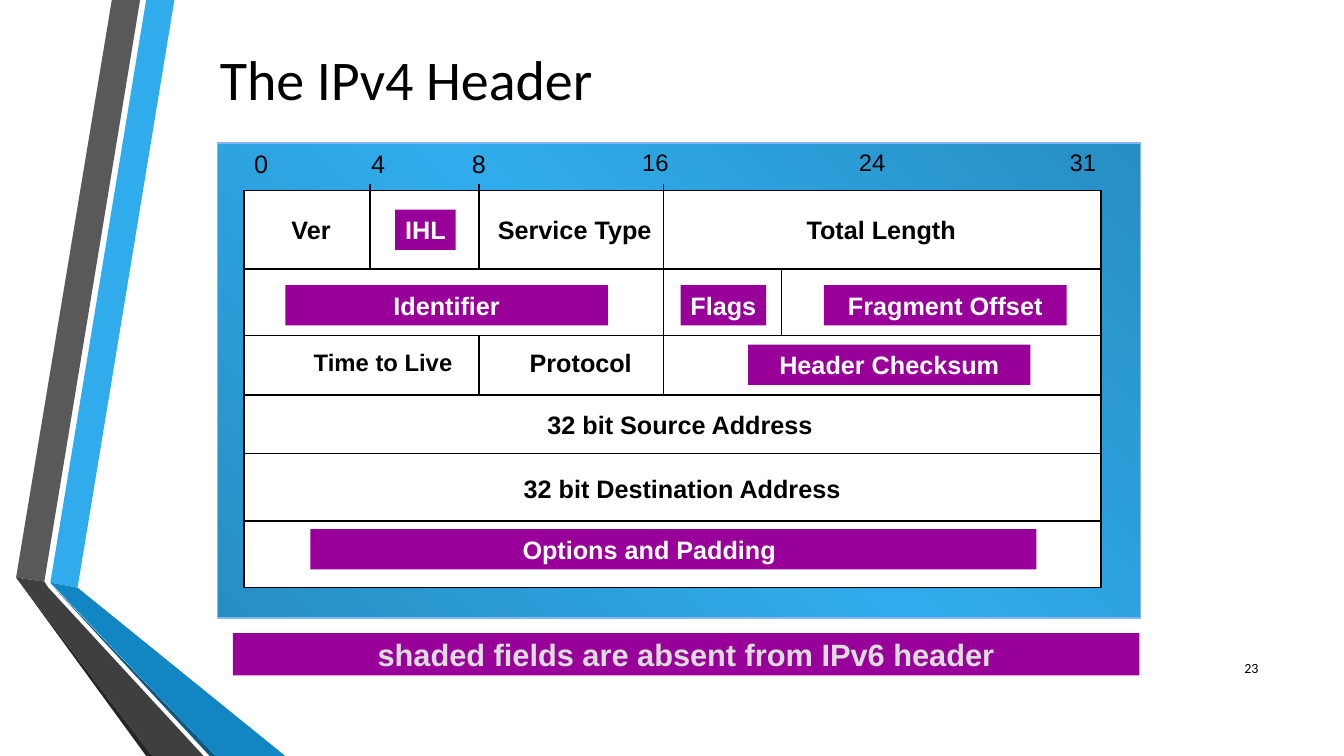
"""Build a slide that shows the layout of the IPv4 header."""
import copy

import pptx
import pptx.dml.color
import pptx.enum.shapes
import pptx.enum.text
import pptx.oxml.ns
import pptx.util
from lxml import etree

Inches = pptx.util.Inches
RGBColor = pptx.dml.color.RGBColor
Align = pptx.enum.text.PP_ALIGN
Anchor = pptx.enum.text.MSO_ANCHOR

BLACK = RGBColor(0x00, 0x00, 0x00)
WHITE = RGBColor(0xFF, 0xFF, 0xFF)
PURPLE = RGBColor(0x99, 0x00, 0x99)
SILVER = RGBColor(0xDD, 0xDD, 0xDD)
SKY = RGBColor(0x30, 0xAC, 0xEC)
OCEAN = RGBColor(0x27, 0x8E, 0xC3)
PANEL_EDGE = RGBColor(0x82, 0xB6, 0xF4)

RIBBONS = [
    (SKY, [(0.5, 5.78), (0.77, 5.83), (1.73, 0), (1.45, 0)]),
    (RGBColor(0x59, 0x59, 0x59), [(1.39, 0), (1.11, 0), (0.16, 5.73), (0.44, 5.77)]),
    (RGBColor(0x26, 0x26, 0x26), [(0.16, 5.73), (1.45, 7.5), (1.51, 7.5)]),
    (RGBColor(0x0B, 0x59, 0x82), [(0.5, 5.79), (2.08, 7.5), (2.14, 7.5)]),
    (RGBColor(0x11, 0x86, 0xC3), [(0.5, 5.78), (2.14, 7.5), (2.83, 7.5), (0.77, 5.83)]),
    (RGBColor(0x3F, 0x3F, 0x3F), [(0.16, 5.73), (1.51, 7.5), (2.02, 7.5), (0.48, 5.83), (0.44, 5.77)]),
]

LEFT, RIGHT, TOP, BOTTOM = 2.42, 10.92, 1.89, 5.83
ROW_EDGES = [2.67, 3.33, 3.92, 4.5, 5.17]
COLUMN_EDGES = [
    (3.67, 1.83, 2.67),
    (4.75, 1.83, 2.67),
    (6.58, 1.83, 3.92),
    (7.75, 2.67, 3.33),
    (4.75, 3.33, 3.92),
]
BIT_MARKS = [
    ("0", 2.42, 0.34, 18),
    ("4", 3.58, 0.34, 18),
    ("8", 4.58, 0.34, 18),
    ("16", 6.26, 0.48, 17),
    ("24", 8.41, 0.48, 17),
    ("31", 10.5, 0.48, 17),
]
KEPT_FIELDS = [
    ("Ver", 2.75, 2.08, 0.67, 18),
    ("Service Type", 4.83, 2.08, 1.74, 18),
    ("Total Length", 7.89, 2.08, 1.7, 18),
    ("Time to Live", 3, 3.4, 1.6, 17),
    ("Protocol", 5.15, 3.4, 1.22, 18),
    ("32 bit Source Address", 5.33, 4.01, 2.83, 18),
    ("32 bit Destination Address", 5.09, 4.65, 3.35, 18),
]
ABSENT_FIELDS = [
    ("IHL", 3.92, 2.08, 0.6),
    ("Identifier", 2.83, 2.83, 3.2),
    ("Flags", 6.75, 2.83, 0.85),
    ("Fragment Offset", 8.17, 2.83, 2.41),
    ("Header Checksum", 7.42, 3.42, 2.8),
]


class HeaderSlide:
    def __init__(self, deck):
        self.page = deck.slides.add_slide(deck.slide_layouts[5])
        self.shapes = self.page.shapes

    def title(self, text, left, top, width, height):
        box = self.shapes.title
        box.left, box.top, box.width, box.height = map(Inches, (left, top, width, height))
        self.set_text(box, text, 40, BLACK, font="Calibri", align=Align.LEFT, anchor=Anchor.MIDDLE, inset=0.1)

    def set_text(self, box, text, size, color, bold=False, font="Arial",
                 align=Align.CENTER, anchor=Anchor.TOP, inset=0.05):
        frame = box.text_frame
        frame.word_wrap = True
        frame.vertical_anchor = anchor
        frame.margin_left = frame.margin_right = Inches(inset)
        frame.text = text
        para = frame.paragraphs[0]
        para.alignment = align
        para.font.name = font
        para.font.size = pptx.util.Pt(size)
        para.font.bold = bold
        para.font.color.rgb = color
        return para

    def ribbon(self, color, points):
        corners = [(Inches(x), Inches(y)) for x, y in points]
        builder = self.shapes.build_freeform(*corners[0])
        builder.add_line_segments(corners[1:], close=True)
        shape = builder.convert_to_shape()
        shape.shadow.inherit = False
        shape.fill.solid()
        shape.fill.fore_color.rgb = color
        shape.line.fill.background()

    def block(self, left, top, width, height, fill, edge=None):
        shape = self.shapes.add_shape(
            pptx.enum.shapes.MSO_SHAPE.RECTANGLE, *map(Inches, (left, top, width, height)))
        shape.shadow.inherit = False
        shape.fill.solid()
        shape.fill.fore_color.rgb = fill
        if edge is None:
            shape.line.fill.background()
        else:
            shape.line.color.rgb = edge
            shape.line.width = pptx.util.Pt(1)
        return shape

    def panel(self, left, top, width, height):
        shape = self.block(left, top, width, height, SKY, PANEL_EDGE)
        shape.fill.gradient()
        shape.fill.gradient_angle = 45
        for stop in shape.fill.gradient_stops:
            stop.color.rgb = OCEAN
        stops = shape._element.spPr.xpath(".//a:gsLst")[0]
        stops.insert(1, copy.deepcopy(stops[0]))
        for stop, position in zip(shape.fill.gradient_stops, (0, 0.5, 1)):
            stop.position = position
        shape.fill.gradient_stops[1].color.rgb = SKY

    def field(self, text, left, top, width, fill, color, size=18):
        shape = self.block(left, top, width, 0.4, fill)
        self.set_text(shape, text, size, color, bold=True)
        return shape

    def label(self, text, left, top, width, size, **style):
        box = self.shapes.add_textbox(*map(Inches, (left, top, width, 0.4)))
        self.set_text(box, text, size, BLACK, **style)

    def rule(self, x1, y1, x2, y2):
        line = self.shapes.add_connector(
            pptx.enum.shapes.MSO_CONNECTOR.STRAIGHT, *map(Inches, (x1, y1, x2, y2)))
        line.line.color.rgb = BLACK
        line.line.width = pptx.util.Pt(1)
        etree.SubElement(line._element.spPr, pptx.oxml.ns.qn("a:effectLst"))


def main():
    deck = pptx.Presentation()
    deck.slide_width, deck.slide_height = Inches(13.33), Inches(7.5)
    slide = HeaderSlide(deck)
    slide.title("The IPv4 Header", 2.08, 0.33, 9.37, 0.9)
    for color, points in RIBBONS:
        slide.ribbon(color, points)

    slide.panel(2.16, 1.42, 9.15, 4.71)
    slide.block(LEFT, TOP, RIGHT - LEFT, BOTTOM - TOP, WHITE, BLACK)
    for text, left, width, size in BIT_MARKS:
        slide.label(text, left, 1.42, width, size)
    for text, left, top, width, size in KEPT_FIELDS:
        slide.field(text, left, top, width, WHITE, BLACK, size)
    for text, left, top, width in ABSENT_FIELDS:
        slide.field(text, left, top, width, PURPLE, WHITE)
    options = slide.field("Options and Padding", 3.08, 5.25, 7.2, PURPLE, WHITE)
    options.text_frame.margin_right = Inches(0.53)
    for y in ROW_EDGES:
        slide.rule(LEFT, y, RIGHT, y)
    for x, top, bottom in COLUMN_EDGES:
        slide.rule(x, top, x, bottom)

    legend = slide.block(2.31, 6.28, 8.99, 0.42, PURPLE)
    para = slide.set_text(legend, "shaded fields are absent from IPv6 header", 22, SILVER, bold=True)
    para.line_spacing = 0.95
    slide.label("23", 11.98, 6.43, 0.6, 10, font="Calibri",
                align=Align.RIGHT, anchor=Anchor.MIDDLE, inset=0.1)
    deck.save("out.pptx")


if __name__ == "__main__":
    main()
